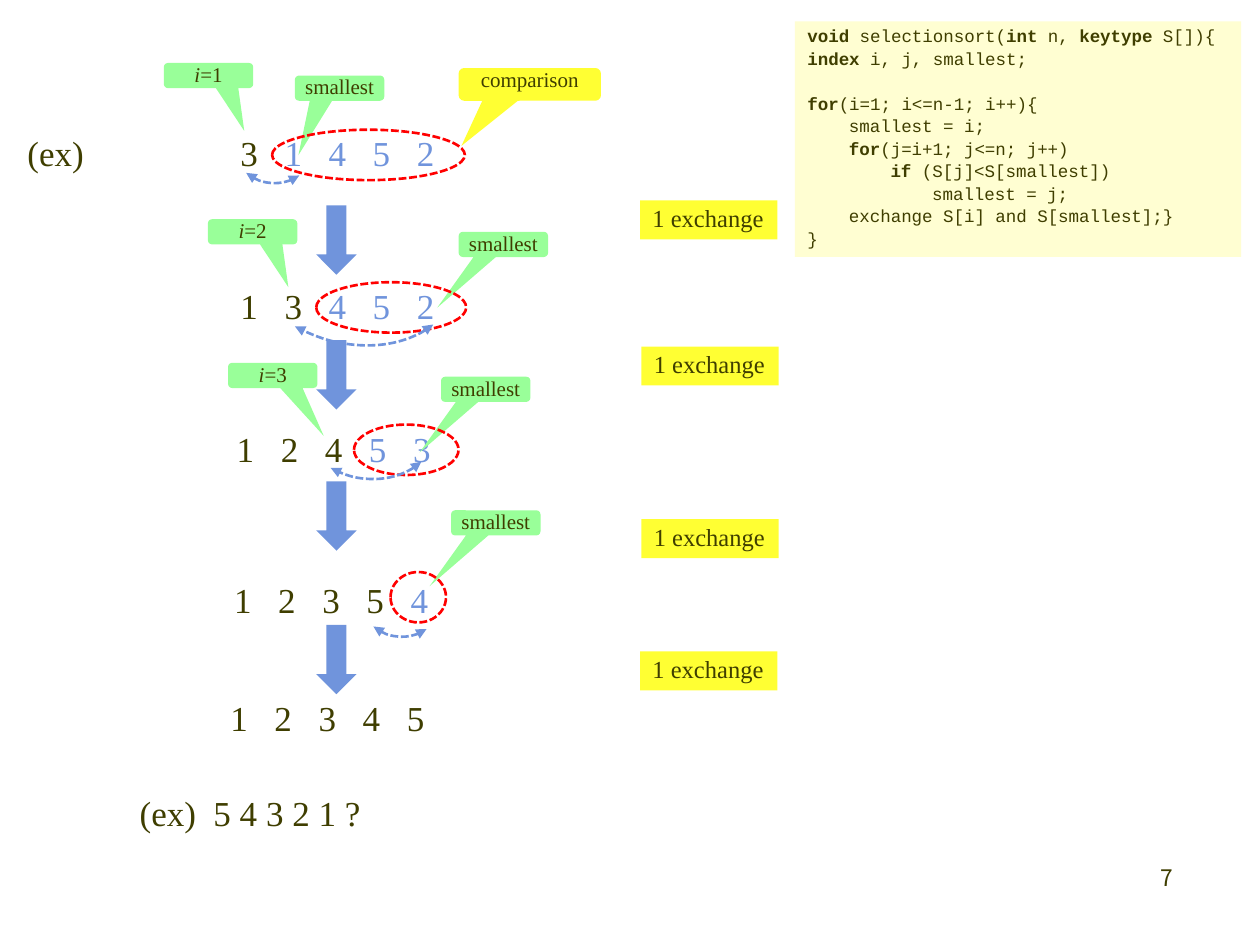
from dataclasses import dataclass
from typing import NamedTuple

from lxml import etree
from pptx import Presentation
from pptx.dml.color import RGBColor
from pptx.enum.dml import MSO_LINE
from pptx.enum.shapes import MSO_SHAPE
from pptx.enum.text import MSO_ANCHOR, PP_ALIGN
from pptx.oxml.ns import qn
from pptx.util import Inches, Pt

CALLOUT, RECTANGLE = MSO_SHAPE.ROUNDED_RECTANGULAR_CALLOUT, MSO_SHAPE.RECTANGLE
OVAL, ARC, DOWN_ARROW = MSO_SHAPE.OVAL, MSO_SHAPE.ARC, MSO_SHAPE.DOWN_ARROW
DASH, TOP = MSO_LINE.SQUARE_DOT, MSO_ANCHOR.TOP
LEFT, CENTER, RIGHT = PP_ALIGN.LEFT, PP_ALIGN.CENTER, PP_ALIGN.RIGHT

INK = RGBColor(0x3F, 0x3E, 0x00)
BLUE = RGBColor(0x70, 0x94, 0xDC)
GREEN = RGBColor(0x99, 0xFF, 0x99)
YELLOW = RGBColor(0xFF, 0xFF, 0x33)
CREAM = RGBColor(0xFF, 0xFE, 0xD2)
RED = RGBColor(0xFF, 0x00, 0x00)

SERIF, MONO, SANS = "Times New Roman", "Courier New", "Noto Sans CJK KR"
COLUMN = 0.35  # distance between neighbouring digits
CODE_INDENT = 0.33
ROW_HEIGHT = 0.4


class Box(NamedTuple):
    left: float
    top: float
    width: float
    height: float


class Run(NamedTuple):
    text: str
    color: RGBColor = INK
    bold: bool = False
    italic: bool = False


@dataclass
class Row:
    """One state of the list: digits in place, then digits still compared."""
    left: float
    top: float
    placed: str
    compared: str = ""
    label: str = ""


@dataclass
class Callout:
    box: Box
    runs: list[Run]
    tip: tuple[float, float]
    fill: RGBColor = GREEN


@dataclass
class CodeLine:
    level: int
    runs: list[Run]
    gap_above: float = 0


def small_callout(left: float, top: float, runs: list[Run], tip: tuple[float, float]) -> Callout:
    return Callout(Box(left, top, 0.71, 0.2), runs, tip)


def index_runs(value: int) -> list[Run]:
    return [Run("i", italic=True), Run(f"={value}")]


SMALLEST = [Run("smallest")]
ROWS = [
    Row(0.12, 1.03, "3", "1452", "(ex)"),
    Row(1.81, 2.25, "13", "452"),
    Row(1.78, 3.38, "124", "53"),
    Row(1.76, 4.58, "1235", "4"),
    Row(1.73, 5.52, "12345"),
]
CALLOUTS = [
    small_callout(2.34, 0.6, SMALLEST, (-0.46, 2.66)),
    small_callout(1.3, 0.5, index_runs(1), (0.4, 2.2)),
    small_callout(3.64, 1.84, SMALLEST, (-0.74, 2.51)),
    small_callout(1.65, 1.74, index_runs(2), (0.4, 2.2)),
    small_callout(3.5, 2.99, SMALLEST, (-0.74, 2.51)),
    small_callout(1.81, 2.88, index_runs(3), (0.57, 2.4)),
    small_callout(3.58, 4.05, SMALLEST, (-0.74, 2.51)),
    Callout(Box(3.64, 0.54, 1.13, 0.26), [Run("comparison")], (-0.48, 1.88), YELLOW),
]
EXCHANGES = [(5.08, 1.59), (5.09, 2.75), (5.09, 4.12), (5.08, 5.17)]
STEP_ARROW_TOPS = [1.63, 2.7, 3.82, 4.96]
OVALS = [(2.16, 1.03, 1.53), (2.51, 2.24, 1.19), (2.81, 3.37, 0.83), (3.1, 4.54, 0.44)]
SWAPS = [
    (Box(1.83, 0.76, 0.68, 0.7), 129.5),
    (Box(1.93, 0.89, 1.57, 2.02), 118.5),
    (Box(2.34, 2.6, 1.09, 1.27), 118.5),
    (Box(2.84, 4.36, 0.68, 0.7), 129.5),
]
CODE = [
    CodeLine(0, [Run("void ", bold=True), Run("selectionsort("), Run("int", bold=True),
                 Run(" n, "), Run("keytype", bold=True), Run(" S[]){")]),
    CodeLine(0, [Run("index ", bold=True), Run("i, j, smallest;")]),
    CodeLine(0, [Run("for", bold=True), Run("(i=1; i<=n-1; i++){")], gap_above=15),
    CodeLine(1, [Run("smallest = i;")]),
    CodeLine(1, [Run("for", bold=True), Run("(j=i+1; j<=n; j++)")]),
    CodeLine(2, [Run("if ", bold=True), Run("(S[j]<S[smallest])")]),
    CodeLine(3, [Run("smallest = j;")]),
    CodeLine(1, [Run("exchange S[i] and S[smallest];}")]),
    CodeLine(0, [Run("}")]),
]

presentation = Presentation()
presentation.slide_width, presentation.slide_height = Inches(10), Inches(7.5)
slide = presentation.slides.add_slide(presentation.slide_layouts[6])


def write(paragraph, runs: list[Run], size: float, font: str = SERIF, align=LEFT,
          gap_above: float = 0) -> None:
    paragraph.alignment = align
    paragraph.line_spacing = 0.9
    if gap_above:
        paragraph.space_before = Pt(gap_above)
    else:
        before = etree.SubElement(paragraph._p.get_or_add_pPr(), qn("a:spcBef"))
        etree.SubElement(before, qn("a:spcPct")).set("val", "20000")
    for item in runs:
        run = paragraph.add_run()
        run.text = item.text
        run.font.name, run.font.size = font, Pt(size)
        run.font.bold, run.font.italic = item.bold, item.italic
        run.font.color.rgb = item.color


def set_tabs(paragraph, stops: list[float]) -> None:
    tabs = etree.SubElement(paragraph._p.get_or_add_pPr(), qn("a:tabLst"))
    for stop in stops:
        etree.SubElement(tabs, qn("a:tab"), pos=str(Inches(stop)), algn="l")


def add_text(box: Box, runs: list[Run], size: float, font: str = SERIF, align=LEFT):
    frame = slide.shapes.add_textbox(*map(Inches, box)).text_frame
    frame.word_wrap = True
    write(frame.paragraphs[0], runs, size, font, align)
    return frame.paragraphs[0]


def add_figure(kind, box: Box, fill: RGBColor | None = None, line: RGBColor | None = None):
    shape = slide.shapes.add_shape(kind, *map(Inches, box))
    shape.shadow.inherit = False
    if fill is None:
        shape.fill.background()
    else:
        shape.fill.solid()
        shape.fill.fore_color.rgb = fill
    if line is None:
        shape.line.fill.background()
    else:
        shape.line.color.rgb = line
        shape.line.width, shape.line.dash_style = Pt(1.5), DASH
    shape.text_frame.vertical_anchor = TOP
    return shape


# Page number and list states
add_text(Box(7.33, 6.83, 2.08, 0.5), [Run("7")], 13, SANS, RIGHT)
for row in ROWS:
    start = 1.69 if row.label else 0
    lead = row.label + "\t" if row.label else ""
    runs = [Run(lead + "\t".join(row.placed))]
    if row.compared:
        runs.append(Run("\t" + "\t".join(row.compared), BLUE))
    paragraph = add_text(Box(row.left, row.top, start + 1.88, ROW_HEIGHT), runs, 20)
    first = 0 if row.label else 1
    set_tabs(paragraph, [start + COLUMN * column for column in range(first, 5)])
add_text(Box(1.01, 6.27, 2.2, ROW_HEIGHT), [Run("(ex)  5 4 3 2 1 ?")], 20)

# Callouts
for callout in CALLOUTS:
    shape = add_figure(CALLOUT, callout.box, callout.fill)
    shape.adjustments[0], shape.adjustments[1] = callout.tip
    frame = shape.text_frame
    frame.margin_left = frame.margin_right = frame.margin_top = frame.margin_bottom = 0
    write(frame.paragraphs[0], callout.runs, 12, align=CENTER)

# Exchange counts
for left, top in EXCHANGES:
    frame = add_figure(RECTANGLE, Box(left, top, 1.09, 0.31), YELLOW).text_frame
    frame.word_wrap = False
    write(frame.paragraphs[0], [Run("1 exchange")], 14)

# Compared ranges and step arrows
for left, top, width in OVALS:
    add_figure(OVAL, Box(left, top, width, ROW_HEIGHT), line=RED)
for top in STEP_ARROW_TOPS:
    add_figure(DOWN_ARROW, Box(2.51, top, 0.32, 0.55), BLUE)

# Code listing
frame = add_figure(RECTANGLE, Box(6.31, 0.17, 3.54, 1.87), CREAM).text_frame
frame.word_wrap = True
for number, line in enumerate(CODE):
    paragraph = frame.add_paragraph() if number else frame.paragraphs[0]
    write(paragraph, line.runs, 10, MONO, gap_above=line.gap_above)
    paragraph._p.get_or_add_pPr().set("marL", str(Inches(CODE_INDENT * line.level)))

# Swap arcs with arrowheads at both ends
for box, rotation in SWAPS:
    arc = add_figure(ARC, box, line=BLUE)
    arc.rotation = rotation
    arc.adjustments[0], arc.adjustments[1] = 170.75, 0
    for end in ("a:headEnd", "a:tailEnd"):
        etree.SubElement(arc.line._get_or_add_ln(), qn(end), type="triangle")

presentation.save("out.pptx")
